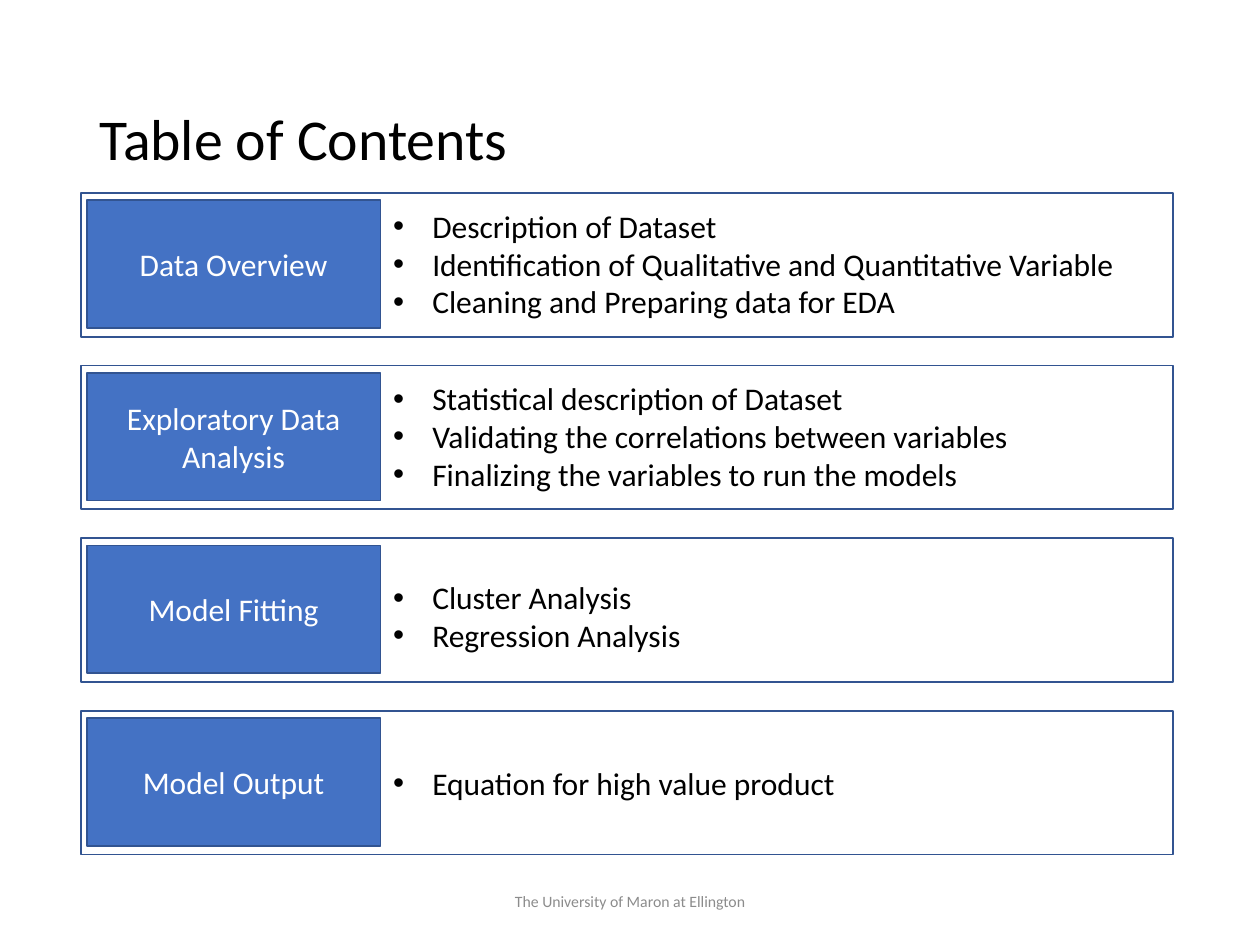
from lxml import etree
from pptx import Presentation
from pptx import util as u
from pptx.dml.color import RGBColor
from pptx.enum import shapes, text
from pptx.oxml import ns

COLORS = {"text": "000000", "label": "4472C4", "border": "325491",
          "label_text": "FFFFFF", "footer": "8C8C8C"}

# Section label, list items, drop of the list below the label's top (cm)
SECTIONS = [
    ("Data Overview",
     ["Description of Dataset",
      "Identification of Qualitative and Quantitative Variable",
      "Cleaning and Preparing data for EDA"], 0),
    ("Exploratory Data Analysis",
     ["Statistical description of Dataset",
      "Validating the correlations between variables",
      "Finalizing the variables to run the models"], 0),
    ("Model Fitting", ["Cluster Analysis", "Regression Analysis"], 0.53),
    ("Model Output", ["Equation for high value product"], 0.79),
]
FIRST_TOP, ROW_PITCH = 3.89, 3.48
FRAME_LEFT, FRAME_WIDTH, FRAME_HEIGHT = 1.63, 22.02, 2.9
LABEL_LEFT, LABEL_WIDTH, LABEL_HEIGHT, LABEL_INSET = 1.75, 5.92, 2.57, 0.15
LIST_WIDTH, LINE_HEIGHT, LIST_PADDING = 16, 0.76, 0.26


class SlideBuilder:
    def __init__(self, slide):
        self.slide = slide

    def color(self, name):
        return RGBColor.from_string(COLORS[name])

    def place(self, shape, left, top, width, height):
        box = {"left": left, "top": top, "width": width, "height": height}
        for name, value in box.items():
            setattr(shape, name, u.Cm(value))

    def set_text(self, shape, lines, size, color, align, anchor, spacing=1.0):
        frame = shape.text_frame
        frame.text = "\n".join(lines)
        frame_format = {"word_wrap": True, "vertical_anchor": anchor,
                        "auto_size": text.MSO_AUTO_SIZE.NONE}
        for name, value in frame_format.items():
            setattr(frame, name, value)
        paragraph_format = {"alignment": align, "line_spacing": spacing,
                            "space_before": u.Pt(0), "space_after": u.Pt(0)}
        font_format = {"name": "Calibri", "size": u.Pt(size), "bold": False}
        for paragraph in frame.paragraphs:
            for name, value in paragraph_format.items():
                setattr(paragraph, name, value)
            for run in paragraph.runs:
                for name, value in font_format.items():
                    setattr(run.font, name, value)
                run.font.color.rgb = self.color(color)

    def title(self, words, *box):
        shape = self.slide.shapes.title
        self.place(shape, *box)
        self.set_text(shape, [words], 33, "text", text.PP_ALIGN.LEFT,
                      text.MSO_ANCHOR.MIDDLE, spacing=0.9)

    def bullets(self, placeholder, items, *box):
        self.place(placeholder, *box)
        self.set_text(placeholder, items, 18, "text", text.PP_ALIGN.LEFT,
                      text.MSO_ANCHOR.TOP)
        for paragraph in placeholder.text_frame.paragraphs:
            properties = paragraph._p.get_or_add_pPr()
            properties.set("marL", str(u.Cm(0.79)))
            properties.set("indent", str(-u.Cm(0.79)))
            etree.SubElement(properties, ns.qn("a:buFont"), typeface="Arial")
            etree.SubElement(properties, ns.qn("a:buChar"), char="•")

    def rectangle(self, *box, fill=None):
        shape = self.slide.shapes.add_shape(
            shapes.MSO_SHAPE.RECTANGLE, *map(u.Cm, box))
        shape.shadow.inherit = False
        shape.line.color.rgb = self.color("border")
        shape.line.width = u.Pt(1)
        if fill:
            shape.fill.solid()
            shape.fill.fore_color.rgb = self.color(fill)
        else:
            shape.fill.background()
        return shape

    def label(self, words, *box):
        shape = self.rectangle(*box, fill="label")
        self.set_text(shape, [words], 18, "label_text", text.PP_ALIGN.CENTER,
                      text.MSO_ANCHOR.MIDDLE)

    def footer(self, words, *box):
        shape = self.slide.shapes.add_textbox(*map(u.Cm, box))
        self.set_text(shape, [words], 9, "footer", text.PP_ALIGN.CENTER,
                      text.MSO_ANCHOR.MIDDLE)


def main():
    presentation = Presentation()
    presentation.slide_width = u.Cm(25.4)
    presentation.slide_height = u.Cm(19.05)

    # The comparison layout offers a title and four body placeholders
    slide = presentation.slides.add_slide(presentation.slide_layouts[4])
    builder = SlideBuilder(slide)
    builder.title("Table of Contents", 1.75, 1.02, 21.9, 3.68)

    # One framed row per section
    bodies = list(slide.placeholders)[1:]
    for row, (name, items, drop) in enumerate(SECTIONS):
        top = FIRST_TOP + row * ROW_PITCH
        label_top = top + LABEL_INSET
        builder.bullets(bodies[row], items, LABEL_LEFT + LABEL_WIDTH,
                        label_top + drop, LIST_WIDTH,
                        len(items) * LINE_HEIGHT + LIST_PADDING)
        builder.label(name, LABEL_LEFT, label_top, LABEL_WIDTH, LABEL_HEIGHT)
        builder.rectangle(FRAME_LEFT, top, FRAME_WIDTH, FRAME_HEIGHT)

    # Footer
    builder.footer("The University of Maron at Ellington",
                   8.41, 17.65, 8.58, 1.02)
    presentation.save("out.pptx")


if __name__ == "__main__":
    main()
